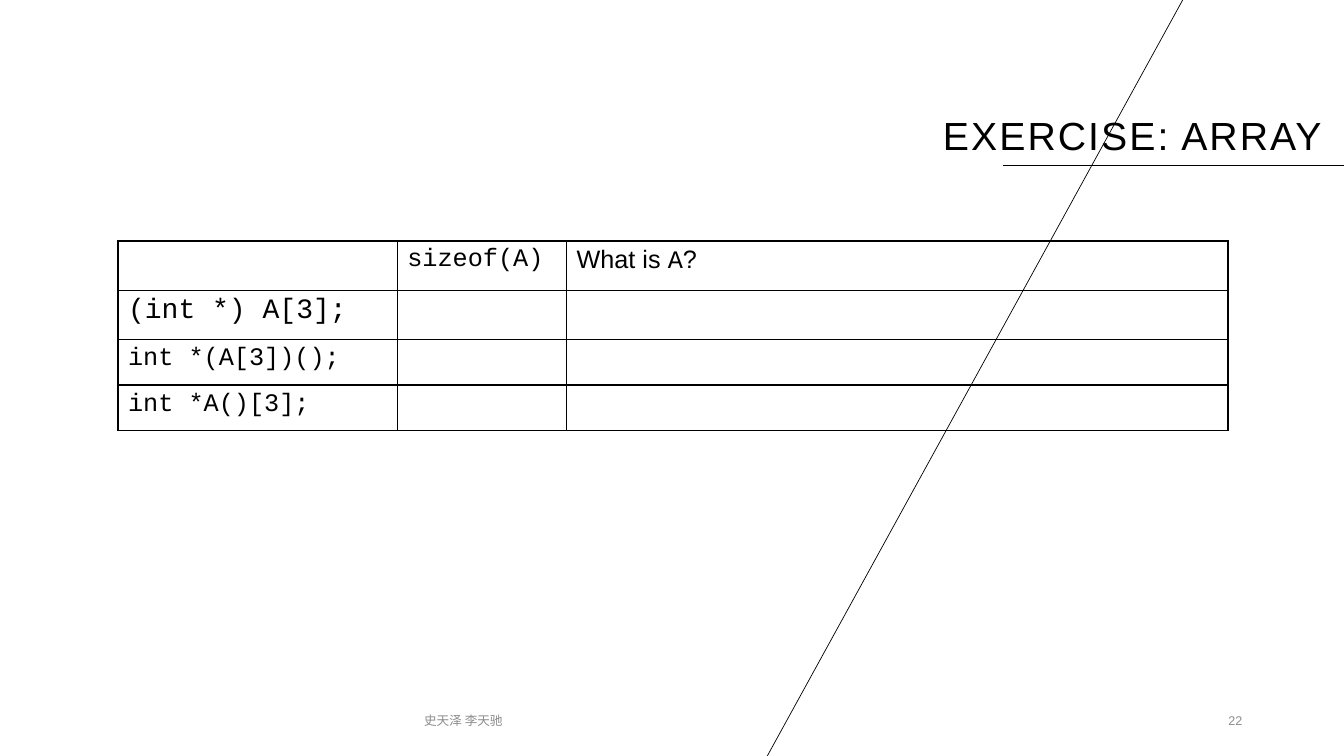
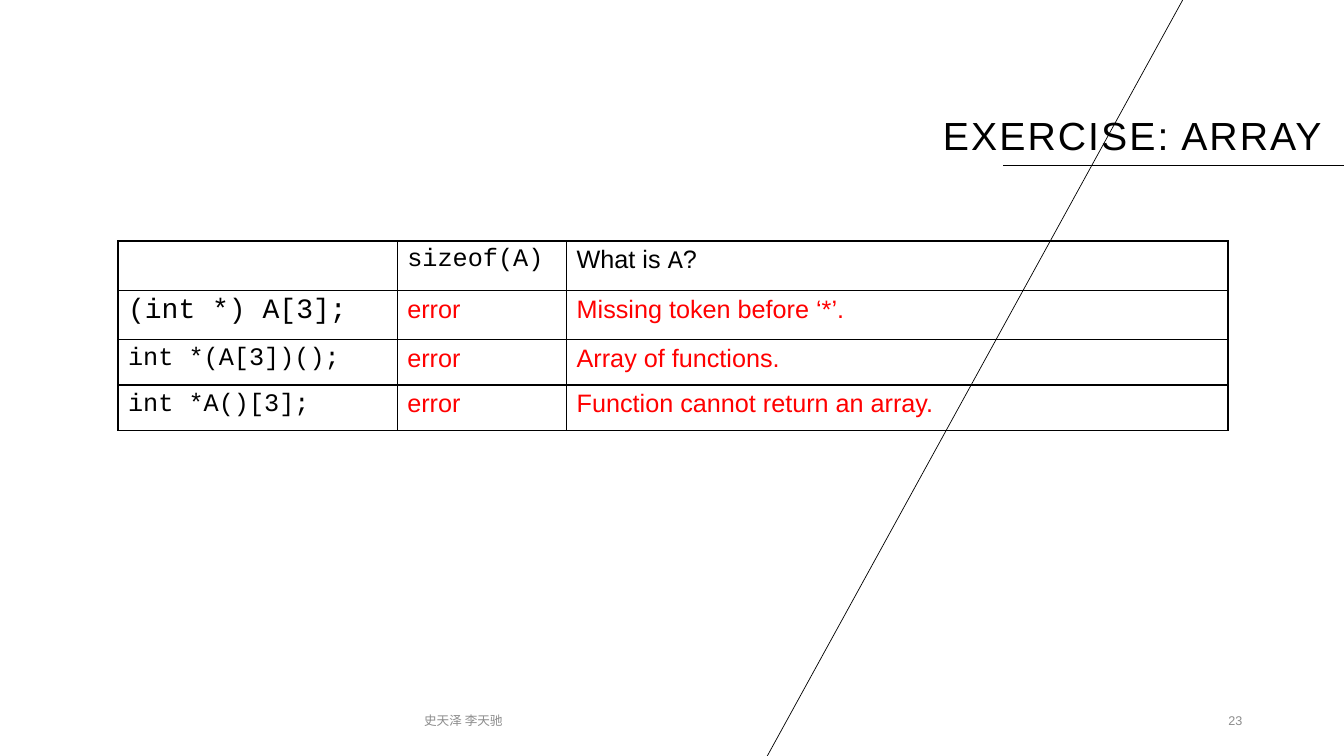
from dataclasses import dataclass
from typing import Any, NamedTuple

from lxml import etree
from pptx import Presentation
from pptx.dml.color import RGBColor
from pptx.enum.shapes import MSO_CONNECTOR
from pptx.enum.text import MSO_ANCHOR, PP_ALIGN
from pptx.oxml.ns import qn
from pptx.util import Inches, Pt

STRAIGHT = MSO_CONNECTOR.STRAIGHT
LEFT, CENTER, RIGHT = PP_ALIGN.LEFT, PP_ALIGN.CENTER, PP_ALIGN.RIGHT
MIDDLE, BOTTOM = MSO_ANCHOR.MIDDLE, MSO_ANCHOR.BOTTOM


@dataclass(frozen=True)
class Theme:
    ink: str = "000000"
    answer: str = "FF0000"
    muted: str = "8C8C8C"
    sans: str = "Arial"
    mono: str = "Courier New"
    title: float = 28
    title_tracking: float = 1.5
    code_large: float = 20
    body: float = 18
    footer: float = 9
    rule: float = 0.5
    border: float = 1


THEME = Theme()


class Box(NamedTuple):
    left: float
    top: float
    width: float
    height: float


class Line(NamedTuple):
    x1: float
    y1: float
    x2: float
    y2: float


class Span(NamedTuple):
    text: str
    font: str = THEME.sans
    size: float = THEME.body
    color: str = THEME.ink


class Exercise(NamedTuple):
    number: int
    answers: list[tuple[str, str]]


SLIDE_W, SLIDE_H = 13.33, 7.5
TITLE = "EXERCISE: ARRAY"
AUTHORS = "史天泽 李天驰"
TITLE_BOX = Box(6.8, 0.96, 6.41, 0.67)
AUTHORS_BOX = Box(2.69, 6.95, 3.81, 0.4)
NUMBER_BOX = Box(9.42, 6.95, 3, 0.4)
RULES = [Line(9.95, 1.64, SLIDE_W, 1.64), Line(11.73, 0, 7.61, SLIDE_H)]

TABLE_LEFT, TABLE_TOP = 1.17, 2.39
COL_WIDTHS = [2.77, 1.68, 6.56]
ROW_HEIGHTS = [0.49, 0.49, 0.45, 0.45]
HEADER = [
    [],
    [Span("sizeof(A)", THEME.mono)],
    [Span("What is "), Span("A", THEME.mono), Span("?")],
]
DECLARATIONS = [
    Span("(int *) A[3];", THEME.mono, THEME.code_large),
    Span("int *(A[3])();", THEME.mono),
    Span("int *A()[3];", THEME.mono),
]
EXERCISES = [
    Exercise(22, [("", "")] * len(DECLARATIONS)),
    Exercise(23, [
        ("error", "Missing token before ‘*’."),
        ("error", "Array of functions."),
        ("error", "Function cannot return an array."),
    ]),
]


def add_run(p: Any, text: str, *, font: str = THEME.sans, size: float = THEME.body,
            color: str = THEME.ink, tracking: float = 0) -> None:
    r = p.add_run()
    r.text = text
    r.font.name = font
    r.font.size = Pt(size)
    r.font.color.rgb = RGBColor.from_string(color)
    if tracking:
        r.font._element.set("spc", str(round(tracking * 100)))


def add_text(slide: Any, box: Box, text: str, *, align: PP_ALIGN = LEFT,
             anchor: MSO_ANCHOR = MIDDLE, spacing: float = 1, **style: Any) -> None:
    sp = slide.shapes.add_textbox(*map(Inches, box))
    tf = sp.text_frame
    tf.word_wrap = True
    tf.vertical_anchor = anchor
    p = tf.paragraphs[0]
    p.alignment = align
    p.line_spacing = spacing
    add_run(p, text, **style)


def add_rule(slide: Any, line: Line) -> None:
    sp = slide.shapes.add_connector(STRAIGHT, *map(Inches, line))
    sp.line.color.rgb = RGBColor.from_string(THEME.ink)
    sp.line.width = Pt(THEME.rule)
    etree.SubElement(sp._element.spPr, qn("a:effectLst"))


def set_borders(cell: Any) -> None:
    tc_pr = cell._tc.get_or_add_tcPr()
    for side in ("lnL", "lnR", "lnT", "lnB"):
        ln = etree.SubElement(tc_pr, qn(f"a:{side}"), w=str(Pt(THEME.border)))
        fill = etree.SubElement(ln, qn("a:solidFill"))
        etree.SubElement(fill, qn("a:srgbClr"), val=THEME.ink)


def fill_cell(cell: Any, spans: list[Span]) -> None:
    set_borders(cell)
    cell.fill.background()
    p = cell.text_frame.paragraphs[0]
    p.font.size = Pt(THEME.body)
    for span in spans:
        add_run(p, span.text, font=span.font, size=span.size, color=span.color)


def add_answer_table(slide: Any, answers: list[tuple[str, str]]) -> None:
    rows = [HEADER]
    for declaration, answer in zip(DECLARATIONS, answers):
        cells = [[Span(text, color=THEME.answer)] if text else [] for text in answer]
        rows.append([[declaration], *cells])
    box = Box(TABLE_LEFT, TABLE_TOP, sum(COL_WIDTHS), sum(ROW_HEIGHTS))
    table = slide.shapes.add_table(len(rows), len(COL_WIDTHS), *map(Inches, box)).table
    table.first_row = False
    table.horz_banding = False
    for column, width in zip(table.columns, COL_WIDTHS):
        column.width = Inches(width)
    for row, height, contents in zip(table.rows, ROW_HEIGHTS, rows):
        row.height = Inches(height)
        for cell, spans in zip(row.cells, contents):
            fill_cell(cell, spans)


def add_frame(slide: Any, number: int) -> None:
    for line in RULES:
        add_rule(slide, line)
    add_text(slide, TITLE_BOX, TITLE, align=RIGHT, anchor=BOTTOM, spacing=0.9,
             size=THEME.title, tracking=THEME.title_tracking)
    footer = {"size": THEME.footer, "color": THEME.muted}
    add_text(slide, AUTHORS_BOX, AUTHORS, align=CENTER, **footer)
    add_text(slide, NUMBER_BOX, str(number), align=RIGHT, **footer)


def main() -> None:
    prs = Presentation()
    prs.slide_width, prs.slide_height = Inches(SLIDE_W), Inches(SLIDE_H)
    blank = prs.slide_layouts[6]
    for exercise in EXERCISES:
        slide = prs.slides.add_slide(blank)
        add_frame(slide, exercise.number)
        add_answer_table(slide, exercise.answers)
    prs.save("out.pptx")


if __name__ == "__main__":
    main()
